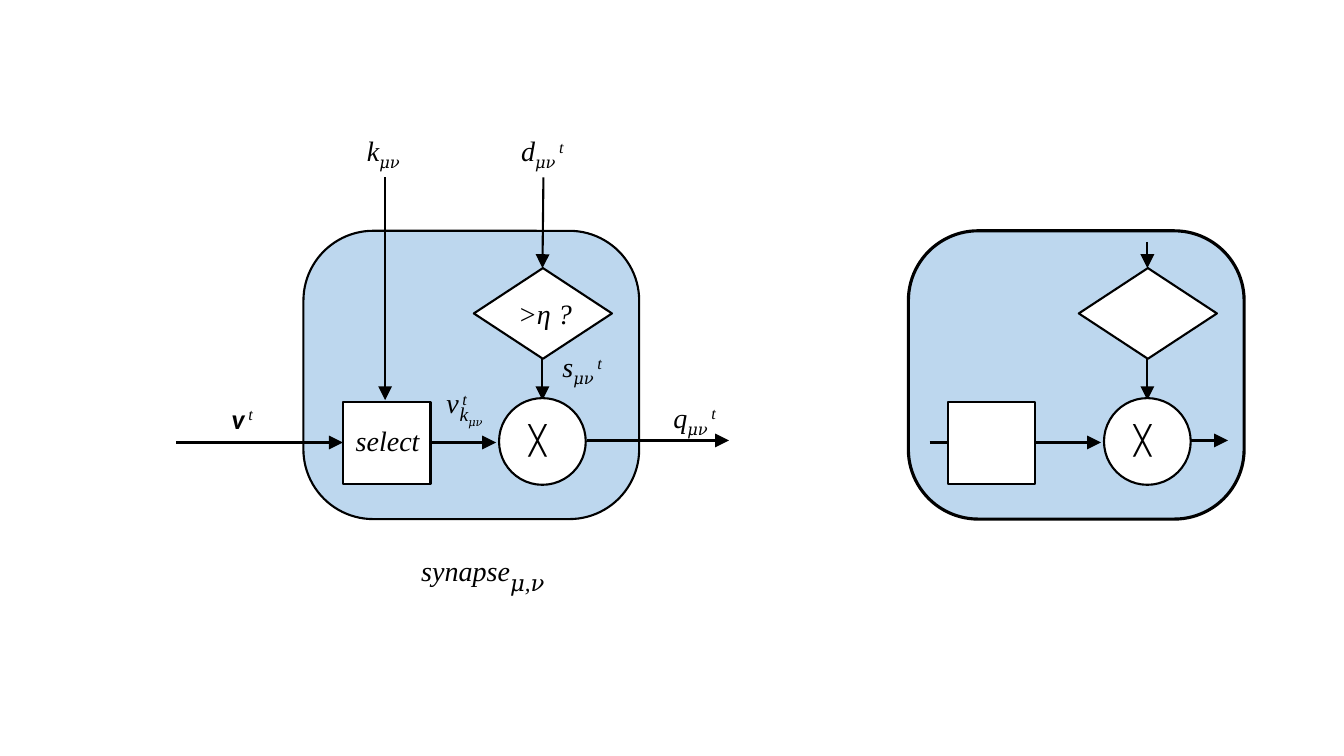
from pptx import Presentation
from pptx.dml.color import RGBColor
from pptx.enum import shapes as sh, text as tx
from pptx.oxml.ns import qn
from pptx.util import Inches, Pt
from lxml import etree

# Content: run = (words, style)
MU = "𝜇𝜈"
SUB = (MU, "bold sub")
TIME = [(" ", "gap"), ("t", "sup")]
LABELS = [  # left, top, width, height, runs
    (2.2, 3.93, 0.43, 0.44, [("v", "vector")] + TIME),
    (5.07, 1.28, 0.65, 0.44, [("d", "main"), SUB] + TIME),
    (5.48, 3.42, 0.6, 0.44, [("s", "main"), (MU, "sub")] + TIME),
    (6.58, 3.92, 0.63, 0.44, [("q", "main"), SUB] + TIME),
    (4.08, 5.33, 1.5, 0.44, [("synapse", "main"), ("𝜇,𝜈", "big sub")]),
    (3.54, 1.28, 0.6, 0.44, [("k", "main"), SUB]),
    (3.43, 4.15, 0.84, 0.44, [("select", "main")]),
    (5.04, 2.89, 0.74, 0.44, [(">η ?", "main")]),
]
CHOSEN = [  # the selected value, with its nested index
    (4.33, 3.78, 0.41, 0.44, [("v", "main")] + TIME),
    (4.46, 3.94, 0.43, 0.34, [("k", "small"), (MU, "small sub")]),
]
CROSS = (5.15, 4.14, 0.48, 0.44, [("╳", "upright")])

# Parts of one synapse, placed as in the left diagram
PANEL = (3.01, 2.29, 3.33, 2.86)
NODES = [
    (sh.MSO_SHAPE.RECTANGLE, (3.4, 3.99, 0.87, 0.81)),
    (sh.MSO_SHAPE.DIAMOND, (4.7, 2.66, 1.37, 0.9)),
    (sh.MSO_SHAPE.OVAL, (4.95, 3.95, 0.86, 0.86)),
]
GATE = (5.38, 3.29, 5.38, 3.97)
FULL = [
    (5.39, 1.76, 5.38, 2.66), GATE, (3.94, 4.39, 4.92, 4.39),
    (1.75, 4.39, 3.4, 4.39), (5.82, 4.37, 7.23, 4.37),
    (3.82, 1.76, 3.82, 3.97),
]
ICON = [
    (5.38, 2.4, 5.38, 2.66), GATE, (3.22, 4.39, 4.92, 4.39),
    (5.78, 4.37, 6.18, 4.37),
]
STEP = 6  # distance from the diagram to its icon

THEME = {
    "ink": RGBColor(0, 0, 0), "node": RGBColor(255, 255, 255),
    "panel": RGBColor(0xBD, 0xD7, 0xEE), "thin": 1.5, "thick": 2.25,
    "serif": "Times New Roman", "sans": "Calibri",
    "runs": {  # size, bold, italic, baseline in percent
        "main": (20, False, True, 0), "vector": (20, True, True, 0),
        "upright": (20, False, False, 0), "gap": (10, False, True, 0),
        "sub": (20, False, True, -25), "bold sub": (20, True, True, -25),
        "big sub": (28, False, True, -25), "sup": (20, False, True, 30),
        "small": (14, False, True, 0), "small sub": (14, True, True, -25),
    },
}


def add_node(host, kind, box, dx, fill, width):
    left, *rest = box
    node = host.add_shape(kind, *map(Inches, (left + dx, *rest)))
    node.shadow.inherit = False
    node.fill.solid()
    node.fill.fore_color.rgb = fill
    node.line.color.rgb = THEME["ink"]
    node.line.width = Pt(width)
    return node


def add_wire(host, ends, dx):
    x1, y1, x2, y2 = ends
    wire = host.add_connector(sh.MSO_CONNECTOR.STRAIGHT,
                              *map(Inches, (x1 + dx, y1, x2 + dx, y2)))
    wire.line.color.rgb = THEME["ink"]
    wire.line.width = Pt(THEME["thin"])
    props = wire.line._get_or_add_ln()
    etree.SubElement(props, qn("a:tailEnd"), type="triangle",
                     w="lg", len="lg")
    etree.SubElement(props.getparent(), qn("a:effectLst"))


def add_label(host, label, dx=0):
    left, top, width, height, runs = label
    box = host.add_textbox(*map(Inches, (left + dx, top, width, height)))
    frame = box.text_frame
    frame.word_wrap = False
    frame.auto_size = tx.MSO_AUTO_SIZE.SHAPE_TO_FIT_TEXT
    para = frame.paragraphs[0]
    for words, style in runs:
        size, bold, italic, base = THEME["runs"][style]
        run = para.add_run()
        run.text = words
        font = run.font
        font.name = THEME["sans" if style == "vector" else "serif"]
        font.size, font.bold, font.italic = Pt(size), bold, italic
        font.color.rgb = THEME["ink"]
        if base:
            run._r.get_or_add_rPr().set("baseline", str(base * 1000))


def add_synapse(host, wires, edge, dx=0):
    panel = add_node(host, sh.MSO_SHAPE.ROUNDED_RECTANGLE, PANEL, dx,
                     THEME["panel"], edge)
    panel.adjustments[0] = 0.242
    for ends in wires:
        add_wire(host, ends, dx)
    for kind, box in NODES:
        add_node(host, kind, box, dx, THEME["node"], THEME["thin"])
    add_label(host, CROSS, dx)


def main():
    deck = Presentation()
    deck.slide_width, deck.slide_height = Inches(13.33), Inches(7.5)
    page = deck.slides.add_slide(deck.slide_layouts[6]).shapes

    # Labelled diagram
    add_synapse(page, FULL, THEME["thin"])
    for label in LABELS:
        add_label(page, label)
    pair = page.add_group_shape().shapes
    for label in CHOSEN:
        add_label(pair, label)

    # Compact icon
    icon = page.add_group_shape().shapes
    add_synapse(icon, ICON, THEME["thick"], STEP)
    deck.save("out.pptx")


if __name__ == "__main__":
    main()
